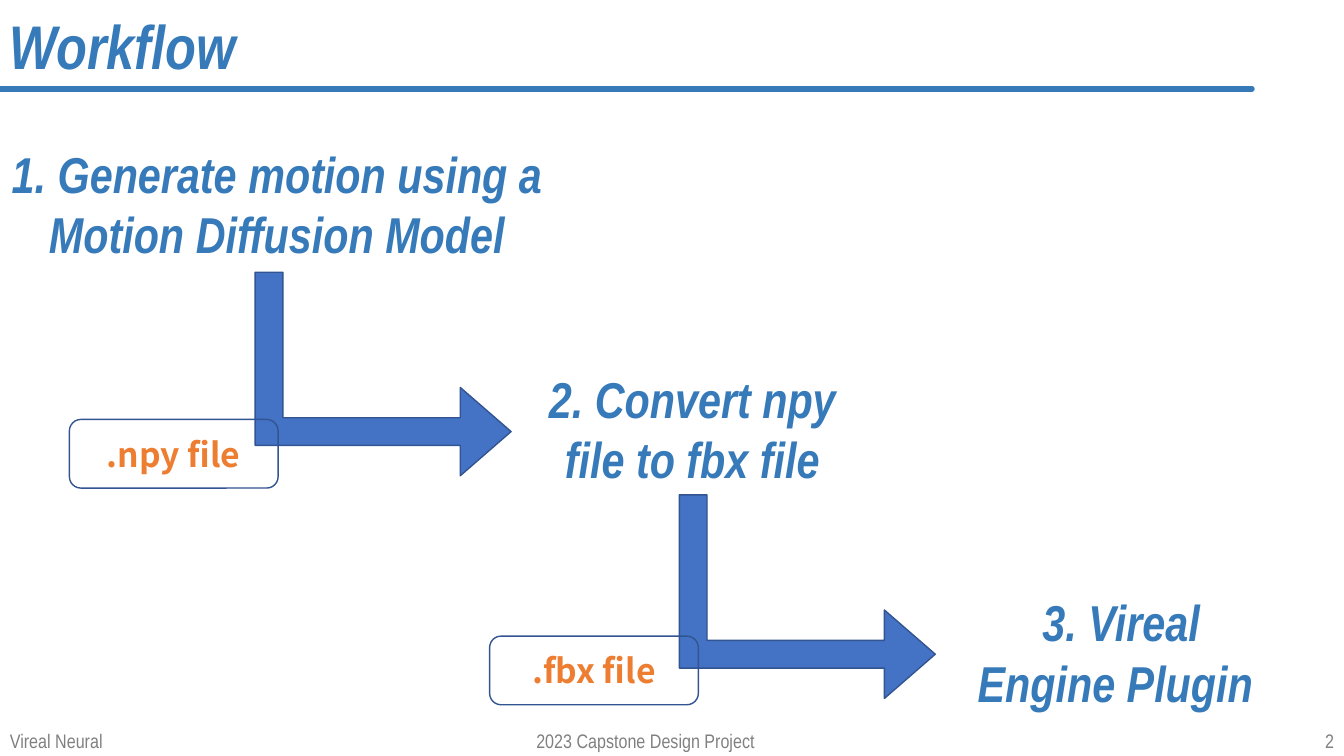
from lxml.etree import SubElement
from pptx import Presentation
from pptx.dml.color import RGBColor
from pptx.enum.shapes import MSO_CONNECTOR as Connector, MSO_SHAPE as Shape
from pptx.enum.text import MSO_ANCHOR as Anchor, PP_ALIGN as Align
from pptx.oxml.ns import qn
from pptx.util import Cm, Pt

BLUE, GREY, ORANGE = "367AB9", "808080", "ED7D31"
ARROW_FILL, OUTLINE = "4472C4", "325491"
NARROW, SANS = "Arial Narrow", "Noto Sans CJK KR"
SLIDE_WIDTH, SLIDE_HEIGHT = 33.87, 19.05
ARROW_WIDTH, ARROW_HEIGHT = 6.45, 5.13
LABEL_WIDTH, LABEL_HEIGHT = 5.26, 1.73

STEPS = [
    ("1. Generate\u00a0motion using a Motion\u00a0Diffusion Model", (-0.36, 3.48, 14.68, 3.33)),
    ("2. Convert npy file to fbx file", (12.8, 9.14, 9.3, 3.33)),
    (" 3. Vireal Engine Plugin", (24.16, 14.78, 7.9, 3.33)),
]
HANDOVERS = [
    (".npy file", (6.43, 6.86), (1.75, 10.57)),
    (".fbx file", (17.12, 12.47), (12.34, 16.03)),
]


def color(value):
    return RGBColor.from_string(value)


def write(frame, text, size, font, hex_color, align=Align.LEFT, bold=False, italic=False):
    frame.word_wrap = True
    paragraph = frame.paragraphs[0]
    paragraph.alignment = align
    run = paragraph.add_run()
    run.text = text
    run.font.size = Pt(size)
    run.font.name = font
    run.font.bold = bold
    run.font.italic = italic
    run.font.color.rgb = color(hex_color)
    return paragraph


def add_text(slide, box, *args, **style):
    frame = slide.shapes.add_textbox(*map(Cm, box)).text_frame
    return frame, write(frame, *args, **style)


def add_outlined(slide, kind, box):
    shape = slide.shapes.add_shape(kind, *map(Cm, box))
    shape.shadow.inherit = False
    shape.line.color.rgb = color(OUTLINE)
    shape.line.width = Pt(1)
    return shape


def add_header(slide, left, top, width, height):
    rule_y = Cm(top + 2.09)
    rule = slide.shapes.add_connector(Connector.STRAIGHT, Cm(left), rule_y, Cm(left + width), rule_y)
    rule.line.color.rgb = color(BLUE)
    rule.line.width = Pt(4)
    rule.line._get_or_add_ln().set("cap", "rnd")
    SubElement(rule._element.spPr, qn("a:effectLst"))
    frame, paragraph = add_text(slide, (left, top, 7.77, height), "Workflow", 44, NARROW, BLUE,
                                bold=True, italic=True)
    frame.vertical_anchor = Anchor.MIDDLE
    paragraph.line_spacing = 0.9


def add_footer(slide, left, top, width, height):
    item_width = 7.34
    items = [
        ("Vireal Neural", left, Align.LEFT),
        ("2023 Capstone Design Project", left + (width - item_width) / 2, Align.LEFT),
        ("2", left + width - item_width, Align.RIGHT),
    ]
    for text, item_left, align in items:
        add_text(slide, (item_left, top, item_width, height), text, 14, NARROW, GREY, align)


def add_arrow(slide, left, top, width, height):
    offset = (width - height) / 2
    arrow = add_outlined(slide, Shape.BENT_UP_ARROW, (left + offset, top - offset, height, width))
    arrow.rotation = 90
    for index, value in enumerate((0.136, 0.217, 0.25)):
        arrow.adjustments[index] = value
    arrow.fill.solid()
    arrow.fill.fore_color.rgb = color(ARROW_FILL)


def add_file_label(slide, text, left, top, width, height):
    label = add_outlined(slide, Shape.ROUNDED_RECTANGLE, (left, top, width, height))
    label.fill.background()
    label.text_frame.vertical_anchor = Anchor.MIDDLE
    write(label.text_frame, text, 24, SANS, ORANGE, Align.CENTER, bold=True)


def add_workflow(slide):
    for text, box in STEPS:
        add_text(slide, box, text, 36, NARROW, BLUE, Align.CENTER, bold=True, italic=True)
    for text, arrow_corner, label_corner in HANDOVERS:
        add_arrow(slide, *arrow_corner, ARROW_WIDTH, ARROW_HEIGHT)
        add_file_label(slide, text, *label_corner, LABEL_WIDTH, LABEL_HEIGHT)


def main():
    presentation = Presentation()
    presentation.slide_width = Cm(SLIDE_WIDTH)
    presentation.slide_height = Cm(SLIDE_HEIGHT)
    slide = presentation.slides.add_slide(presentation.slide_layouts[6])
    add_footer(slide, 0, 18.24, SLIDE_WIDTH, 0.89)
    add_header(slide, 0, 0.15, 31.55, 2.21)
    add_workflow(slide)
    presentation.save("out.pptx")


if __name__ == "__main__":
    main()
